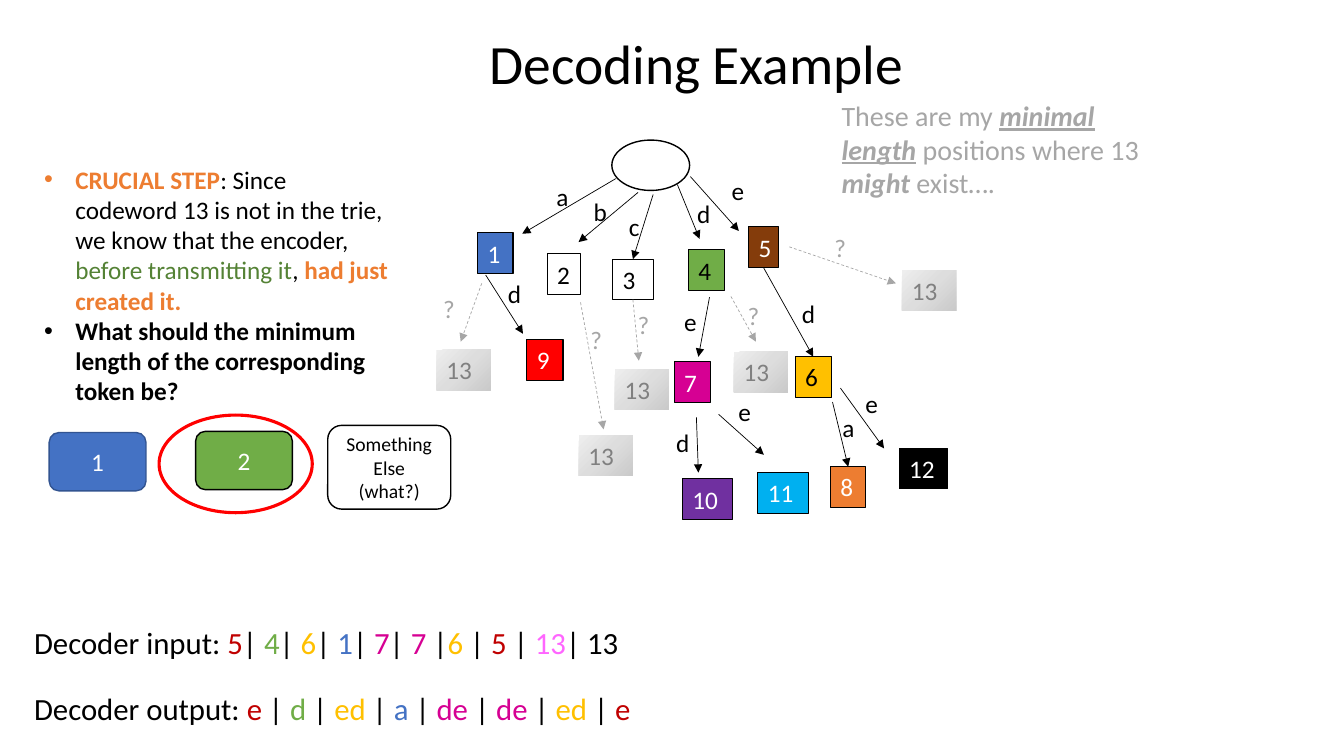
from dataclasses import dataclass
from typing import Optional

from lxml.etree import SubElement
from pptx import Presentation
from pptx.dml.color import RGBColor
from pptx.enum.dml import MSO_LINE_DASH_STYLE as Dash
from pptx.enum.shapes import MSO_CONNECTOR as Connector, MSO_SHAPE as Preset
from pptx.enum.text import MSO_ANCHOR as Anchor, PP_ALIGN as Align
from pptx.oxml import parse_xml
from pptx.oxml.ns import nsdecls, qn
from pptx.util import Cm, Pt


@dataclass(frozen=True)
class Theme:
    font: str = "Calibri"
    title_size: float = 39.6
    stream_size: float = 22
    remark_size: float = 20
    body_size: float = 18
    card_size: float = 14
    black: str = "000000"
    white: str = "FFFFFF"
    red: str = "FF0000"
    crimson: str = "C00000"
    brown: str = "843C0B"
    orange: str = "ED7D31"
    gold: str = "FFC000"
    green: str = "70AD47"
    forest: str = "548235"
    cyan: str = "00B0F0"
    blue: str = "4472C4"
    navy: str = "325491"
    purple: str = "7030A0"
    magenta: str = "D60093"
    pink: str = "FF66FF"
    faint: str = "A6A6A6"
    grey: str = "808080"
    shades: tuple = ((0, "CACACA"), (50, "DDDDDD"), (100, "EEEEEE"))


T = Theme()


@dataclass(frozen=True)
class Span:
    text: str
    colour: str = T.black
    bold: bool = False
    italic: bool = False
    underline: bool = False


@dataclass(frozen=True)
class Node:
    name: str
    left: float
    top: float
    width: float
    fill: Optional[str] = None
    ink: str = T.white


@dataclass(frozen=True)
class Edge:
    label: str
    start: tuple
    end: tuple
    label_at: tuple
    source: Optional[str] = None
    target: Optional[str] = None


@dataclass(frozen=True)
class Card:
    text: str
    area: tuple
    fill: str
    line: str
    ink: str
    size: float


NODES = [
    Node("1", 12.04, 5.87, 0.89, T.blue),
    Node("2", 13.79, 6.4, 0.84, ink=T.black),
    Node("3", 15.44, 6.53, 1.02, ink=T.black),
    Node("4", 17.35, 6.3, 0.91, T.green, T.black),
    Node("5", 18.87, 5.72, 0.74, T.brown),
    Node("6", 20.04, 8.99, 0.91, T.gold, T.black),
    Node("7", 16.99, 9.12, 0.91, T.magenta),
    Node("8", 20.93, 11.76, 0.89, T.orange),
    Node("9", 13.28, 8.56, 0.91, T.red),
    Node("10", 17.2, 12.07, 1.27, T.purple),
    Node("11", 19.1, 11.91, 1.27, T.cyan),
    Node("12", 22.66, 11.3, 1.22, T.black),
]
GUESS_CORNERS = [(22.73, 6.81), (18.49, 8.86), (15.49, 9.3), (14.58, 10.97), (11, 8.81)]
EDGES = [
    Edge("a", (15.52, 4.5), (13.16, 5.89), (13.77, 4.45)),
    Edge("b", (16.08, 4.85), (14.58, 6.1), (14.71, 4.83)),
    Edge("c", (16.46, 4.9), (15.95, 6.53), (15.6, 5.21), target="3"),
    Edge("d", (17.07, 4.65), (17.63, 6.02), (17.32, 4.88)),
    Edge("e", (17.4, 4.45), (18.62, 5.82), (18.19, 4.29)),
    Edge("e", (17.88, 7.49), (17.6, 8.99), (16.99, 7.59)),
    Edge("d", (19.25, 6.76), (20.5, 8.99), (19.96, 7.39), "5", "6"),
    Edge("d", (12.24, 6.93), (13.18, 8.41), (12.55, 6.88)),
    Edge("d", (17.55, 10.52), (17.6, 11.91), (16.79, 10.64)),
    Edge("e", (18.11, 10.44), (19.25, 11.46), (18.36, 9.86)),
    Edge("a", (20.98, 10.13), (21.36, 11.76), (20.98, 10.26), target="8"),
    Edge("e", (21.18, 9.78), (22.28, 11.3), (21.56, 9.65)),
    Edge("?", (19.89, 6.22), (22.58, 7.14), (20.78, 5.72)),
    Edge("?", (18.42, 7.47), (19.05, 8.61), (18.59, 7.44)),
    Edge("?", (16, 7.57), (16.1, 9.09), (15.82, 7.67), source="3"),
    Edge("?", (14.63, 7.62), (15.21, 10.82), (14.63, 8.05)),
    Edge("?", (12.14, 7.14), (11.61, 8.61), (10.92, 7.26)),
]
CARDS = [
    Card("1", (1.24, 10.9, 2.44, 1.47), T.blue, T.navy, T.white, T.body_size),
    Card("2", (4.93, 10.87, 2.44, 1.47), T.green, T.black, T.white, T.body_size),
    Card("Something Else (what?)", (8.26, 10.72, 3.1, 2.11), T.white, T.black, T.black, T.card_size),
]
CRUCIAL_STEP = [
    [Span("CRUCIAL STEP", T.orange, bold=True),
     Span(": Since codeword 13 is not in the trie, we know that the encoder, "),
     Span("before transmitting it", T.forest), Span(", "),
     Span("had just created it.", T.orange, bold=True)],
    [Span("What should the minimum length of the corresponding token be?", bold=True)],
]
REMARK = [
    Span("These are my ", T.faint), Span("minimal length", T.faint, True, True, True),
    Span(" positions where 13 ", T.faint), Span("might", T.faint, True, True),
    Span(" exist….", T.faint),
]
DECODER_INPUT = [
    Span("Decoder input: "), Span("5", T.crimson), Span("|"), Span(" 4", T.green), Span("| "),
    Span("6", T.gold), Span("| "), Span("1", T.blue), Span("| "), Span("7", T.magenta), Span("| "),
    Span("7", T.magenta), Span(" |"), Span("6", T.gold), Span(" |"), Span(" 5 ", T.crimson),
    Span("| "), Span("13", T.pink), Span("| 13"),
]
DECODER_OUTPUT = [
    Span("Decoder output: "), Span("e", T.crimson), Span(" | "), Span("d ", T.green), Span("| "),
    Span("ed ", T.gold), Span("| "), Span("a ", T.blue), Span("| "), Span("de ", T.magenta),
    Span("| "), Span("de ", T.magenta), Span("| "), Span("ed ", T.gold), Span("| "),
    Span("e", T.crimson),
]


def write(box, paras: list, *, size: float = T.body_size, align=Align.LEFT,
          anchor=Anchor.TOP, spacing: float = 1.0, bullets: bool = False) -> None:
    frame = box.text_frame
    frame.word_wrap = True
    frame.vertical_anchor = anchor
    for index, spans in enumerate(paras):
        para = frame.add_paragraph() if index else frame.paragraphs[0]
        para.alignment = align
        para.line_spacing = spacing
        if bullets:
            layout = para._p.get_or_add_pPr()
            layout.set("marL", str(Cm(0.79)))
            layout.set("indent", str(-Cm(0.79)))
            SubElement(layout, qn("a:buFont")).set("typeface", "Arial")
            SubElement(layout, qn("a:buChar")).set("char", "•")
        for span in spans:
            run = para.add_run()
            run.text = span.text
            font = run.font
            font.name, font.size = T.font, Pt(size)
            font.bold, font.italic, font.underline = span.bold, span.italic, span.underline
            font.color.rgb = RGBColor.from_string(span.colour)


def add_text(page, area: tuple, paras: list, **text_format):
    box = page.shapes.add_textbox(*map(Cm, area))
    write(box, paras, **text_format)
    return box


def add_box(page, preset, area: tuple, *, fill: Optional[str] = None,
            line: Optional[str] = None, width: float = 1):
    box = page.shapes.add_shape(preset, *map(Cm, area))
    box.shadow.inherit = False
    if fill:
        box.fill.solid()
        box.fill.fore_color.rgb = RGBColor.from_string(fill)
    else:
        box.fill.background()
    if line:
        box.line.color.rgb = RGBColor.from_string(line)
        box.line.width = Pt(width)
    else:
        box.line.fill.background()
    return box


def add_node(page, node: Node):
    box = add_box(page, Preset.RECTANGLE, (node.left, node.top, node.width, 1.02),
                  fill=node.fill, line=T.black, width=0.75)
    write(box, [[Span(node.name, node.ink)]])
    return box


def add_guess(page, corner: tuple) -> None:
    box = add_box(page, Preset.RECTANGLE, (*corner, 1.37, 1.02))
    stops = "".join(f'<a:gs pos="{place * 1000}"><a:srgbClr val="{shade}"/></a:gs>'
                    for place, shade in T.shades)
    gradient = parse_xml(
        f'<a:gradFill {nsdecls("a")}><a:gsLst>{stops}</a:gsLst><a:path path="circle">'
        '<a:fillToRect l="100000" t="100000"/></a:path></a:gradFill>')
    properties = box.element.spPr
    properties.replace(properties.find(qn("a:noFill")), gradient)
    write(box, [[Span("13", T.grey)]])


def add_edge(page, edge: Edge, boxes: dict) -> None:
    unknown = edge.label == "?"
    colour = T.faint if unknown else T.black
    arrow = page.shapes.add_connector(Connector.STRAIGHT, *map(Cm, edge.start + edge.end))
    arrow.line.color.rgb = RGBColor.from_string(colour)
    arrow.line.width = Pt(0.5)
    if unknown:
        arrow.line.dash_style = Dash.DASH
    SubElement(arrow.line._get_or_add_ln(), qn("a:tailEnd")).set("type", "triangle")
    SubElement(arrow.element.spPr, qn("a:effectLst"))
    if edge.source:
        arrow.begin_connect(boxes[edge.source], 2)
    if edge.target:
        arrow.end_connect(boxes[edge.target], 0)
    add_text(page, (*edge.label_at, 1, 1.02), [[Span(edge.label, colour)]])


def add_card(page, card: Card) -> None:
    box = add_box(page, Preset.ROUNDED_RECTANGLE, card.area, fill=card.fill, line=card.line)
    write(box, [[Span(card.text, card.ink)]], size=card.size,
          align=Align.CENTER, anchor=Anchor.MIDDLE)


def main() -> None:
    deck = Presentation()
    deck.slide_width, deck.slide_height = Cm(33.87), Cm(19.05)
    page = deck.slides.add_slide(deck.slide_layouts[6])
    add_text(page, (10.31, 1.02, 14.48, 1.3), [[Span("Decoding Example")]], size=T.title_size,
             align=Align.CENTER, anchor=Anchor.MIDDLE, spacing=0.9)
    add_box(page, Preset.OVAL, (15.42, 3.53, 1.96, 1.27), line=T.black)
    boxes = {node.name: add_node(page, node) for node in NODES}
    for corner in GUESS_CORNERS:
        add_guess(page, corner)
    for edge in EDGES:
        add_edge(page, edge, boxes)
    add_text(page, (0.86, 4.01, 9.25, 6.4), CRUCIAL_STEP, bullets=True)
    for card in CARDS:
        add_card(page, card)
    add_box(page, Preset.OVAL, (4.01, 10.46, 3.86, 2.46), line=T.red, width=2.25)
    add_text(page, (20.96, 2.36, 8.59, 2.82), [REMARK], size=T.remark_size)
    for top, stream in ((15.7, DECODER_INPUT), (17.37, DECODER_OUTPUT)):
        add_text(page, (0.61, top, 16, 1.22), [stream], size=T.stream_size, spacing=0.9)
    deck.save("out.pptx")


if __name__ == "__main__":
    main()
